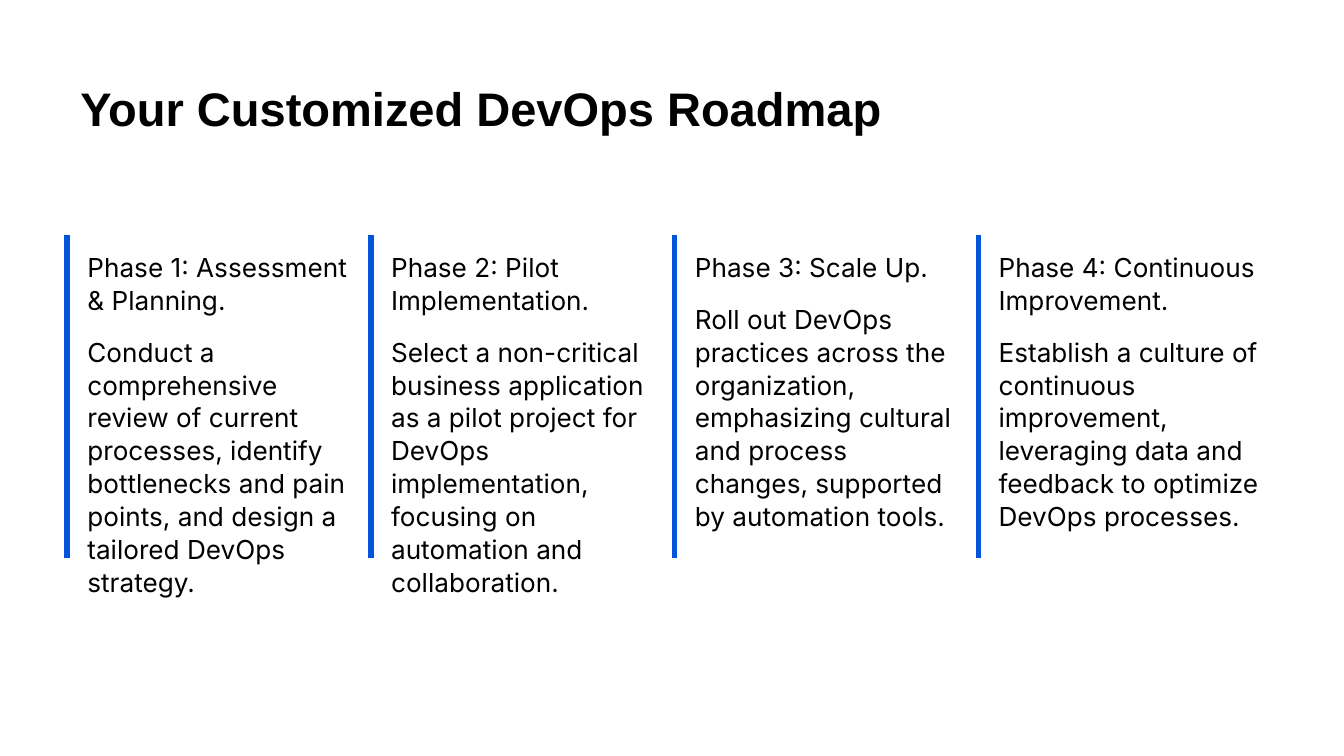
from dataclasses import dataclass

from lxml.etree import SubElement
from pptx import Presentation
from pptx.dml.color import RGBColor as Rgb
from pptx.enum.shapes import MSO_CONNECTOR as Conn
from pptx.enum.text import MSO_ANCHOR as Anchor
from pptx.oxml.ns import qn
from pptx.util import Pt

UNIT = 4572  # EMU in one px, 200 px to the inch


@dataclass(frozen=True)
class Theme:
    ink: str = "000000"
    paper: str = "FFFFFF"
    rule: str = "0254DB"
    head: str = "Arial"
    body: str = "Inter"
    big: float = 25.2
    small: float = 14
    stroke: float = 3


LOOK = Theme()
LEFT, STEP, WIDE = 100, 452, 444

# Phase name, what it does, height of its text box
PHASES = [
    ("Phase 1: Assessment & Planning.",
     "Conduct a comprehensive review of current processes, identify "
     "bottlenecks and pain points, and design a tailored DevOps strategy.",
     584),
    ("Phase 2: Pilot Implementation.",
     "Select a non-critical business application as a pilot project for "
     "DevOps implementation, focusing on automation and collaboration.",
     584),
    ("Phase 3: Scale Up.",
     "Roll out DevOps practices across the organization, emphasizing "
     "cultural and process changes, supported by automation tools.",
     478),
    ("Phase 4: Continuous Improvement.",
     "Establish a culture of continuous improvement, leveraging data and "
     "feedback to optimize DevOps processes.",
     478),
]


def px(n):
    return n * UNIT


def add_text(slide, lines, box, *, font=LOOK.body, size=LOOK.small,
             bold=False, inset=20, anchor=Anchor.TOP, lead=None, gap=0):
    """Add a text box; gap is the space around each line after the first."""
    frame = slide.shapes.add_textbox(*map(px, box)).text_frame
    frame.word_wrap = True
    frame.vertical_anchor = anchor
    frame.margin_left = px(inset)
    frame.margin_right = frame.margin_top = frame.margin_bottom = px(20)
    for i, line in enumerate(lines):
        para = frame.paragraphs[0] if i == 0 else frame.add_paragraph()
        para.line_spacing = lead
        if i and gap:
            para.space_before = para.space_after = Pt(gap)
        run = para.add_run()
        run.text = line
        face = run.font
        face.name, face.size, face.bold = font, Pt(size), bold
        face.color.rgb = Rgb.from_string(LOOK.ink)


def add_rule(slide, x, top, end):
    """Add an upright line without a shadow."""
    rule = slide.shapes.add_connector(Conn.STRAIGHT, *map(px, (x, top, x, end)))
    rule.line.color.rgb = Rgb.from_string(LOOK.rule)
    rule.line.width = Pt(LOOK.stroke)
    SubElement(rule._element.spPr, qn("a:effectLst"))


def add_phase(slide, x, name, task, high):
    add_rule(slide, x, 350, 830)
    add_text(slide, [name, task], (x, 352, WIDE, high),
             inset=30, lead=1.05, gap=10)


def main():
    deck = Presentation()
    deck.slide_width, deck.slide_height = px(2000), px(1125)
    slide = deck.slides.add_slide(deck.slide_layouts[6])
    fill = slide.background.fill
    fill.solid()
    fill.fore_color.rgb = Rgb.from_string(LOOK.paper)

    # Title
    add_text(slide, ["Your Customized DevOps Roadmap"], (LEFT, 98, 1800, 126),
             font=LOOK.head, size=LOOK.big, bold=True, anchor=Anchor.MIDDLE)

    # Four phases, evenly spaced
    for i, phase in enumerate(PHASES):
        add_phase(slide, LEFT + i * STEP, *phase)

    deck.save("out.pptx")


if __name__ == "__main__":
    main()
